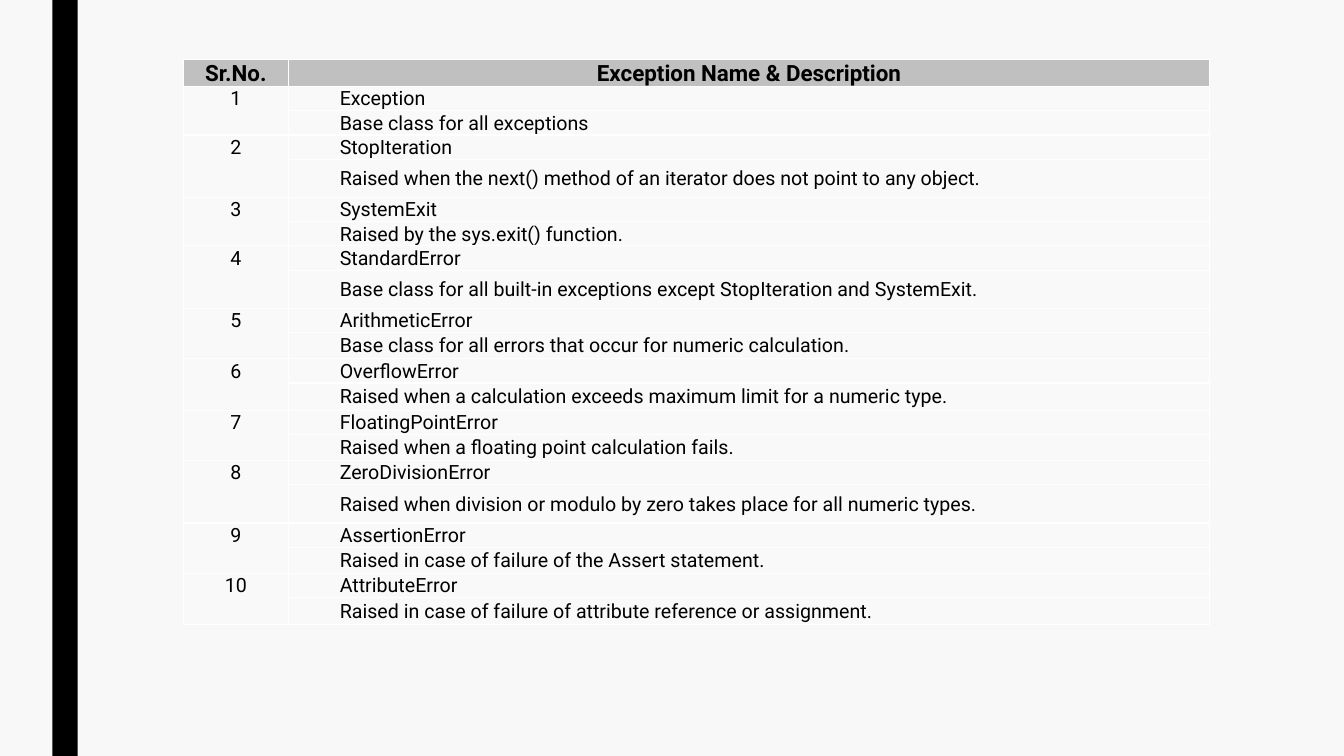
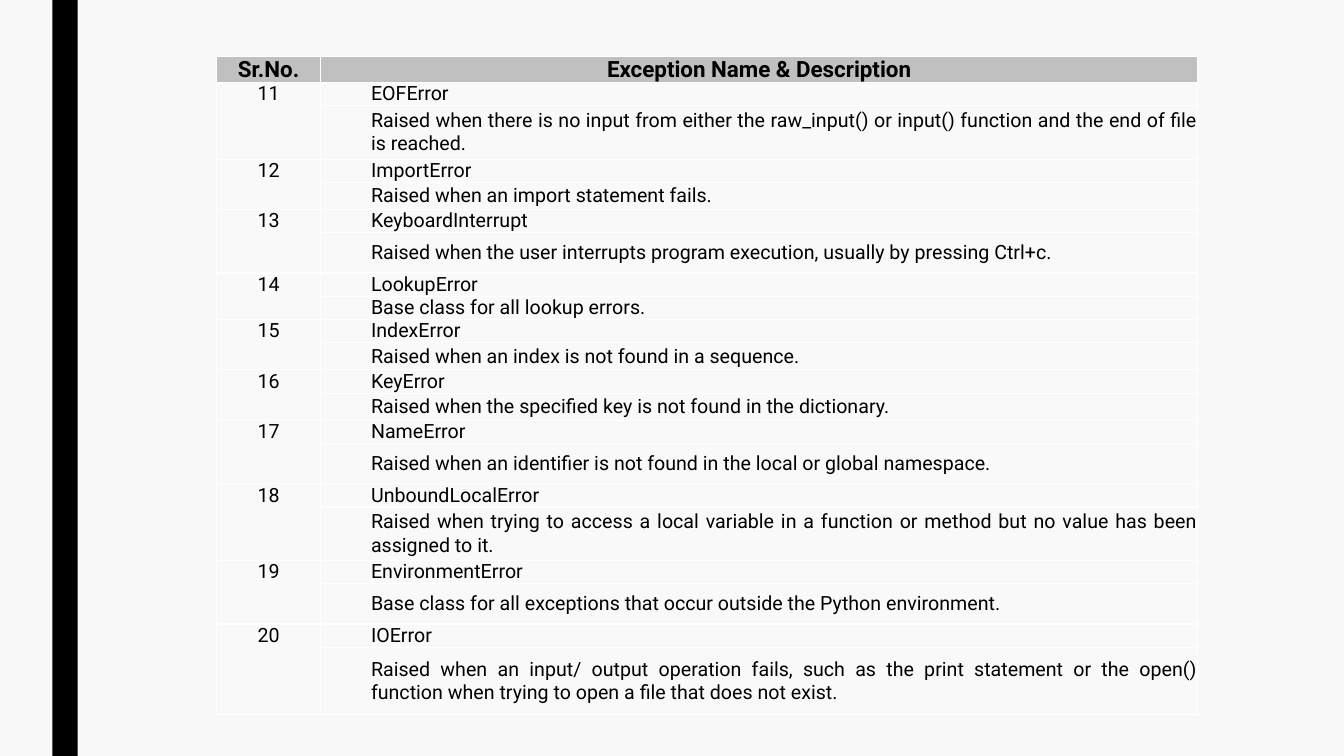
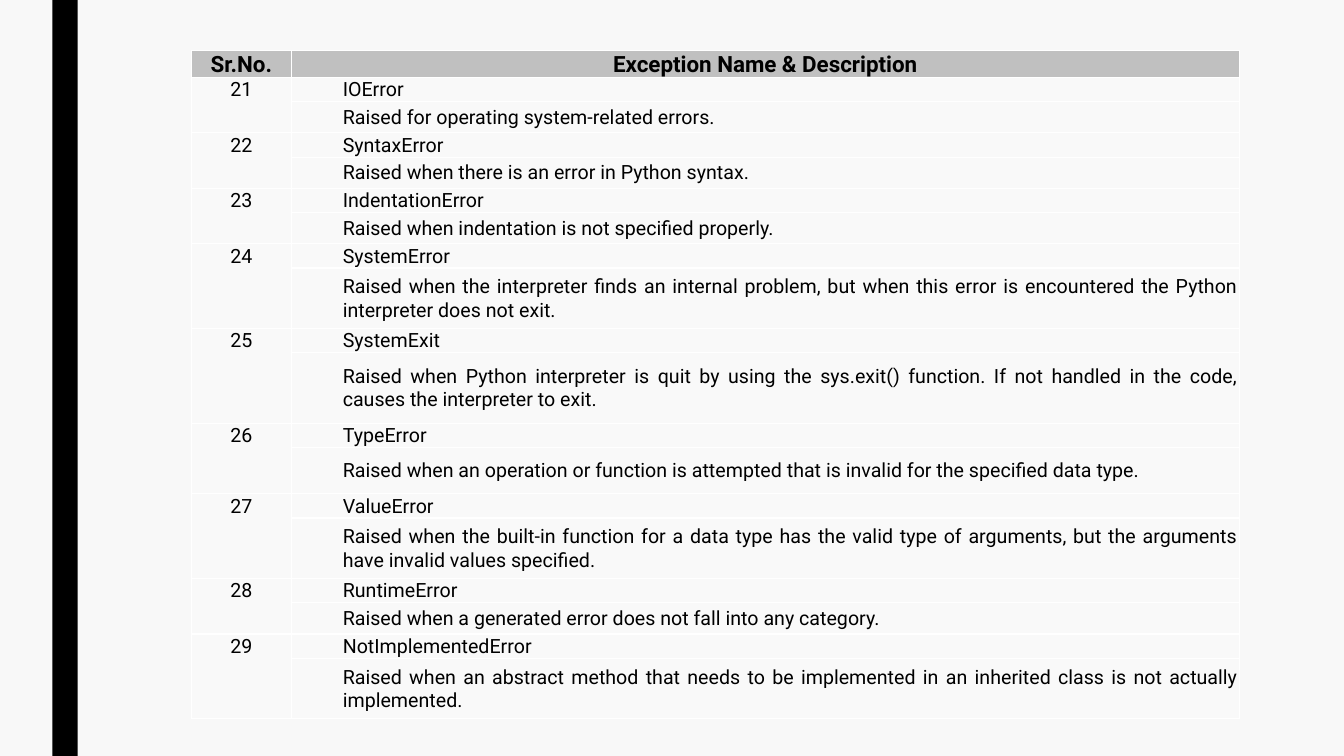
from dataclasses import dataclass

from lxml import etree
from pptx import Presentation
from pptx.dml.color import RGBColor
from pptx.enum.shapes import MSO_SHAPE
from pptx.enum.text import MSO_ANCHOR, PP_ALIGN
from pptx.oxml.ns import qn
from pptx.util import Inches, Pt

RECT = MSO_SHAPE.RECTANGLE
TOP, MIDDLE = MSO_ANCHOR.TOP, MSO_ANCHOR.MIDDLE
CENTER, JUSTIFY = PP_ALIGN.CENTER, PP_ALIGN.JUSTIFY


@dataclass(frozen=True)
class Theme:
    font: str = "Roboto"
    page: str = "F8F8F8"
    band: str = "000000"
    ink: str = "000000"
    head: str = "C0C0C0"
    body: str = "F9F9F9"
    rule: str = "FFFFFF"
    head_size: int = 16
    body_size: int = 14
    indent: float = 0.5


class Deck:
    def __init__(self, theme):
        self.theme = theme
        self.prs = Presentation()
        self.prs.slide_width = Inches(13.33)
        self.prs.slide_height = Inches(7.5)
        self.paint(self.prs.slide_master.background.fill, theme.page)
        self.slide = None

    def paint(self, fill, color):
        fill.solid()
        fill.fore_color.rgb = RGBColor.from_string(color)

    def page(self):
        self.slide = self.prs.slides.add_slide(self.prs.slide_layouts[6])
        band = self.slide.shapes.add_shape(
            RECT, Inches(0.52), 0, Inches(0.25), self.prs.slide_height)
        band.shadow.inherit = False
        self.paint(band.fill, self.theme.band)
        band.line.fill.background()

    def border(self, cell):
        props = cell._tc.get_or_add_tcPr()
        for side in ("a:lnL", "a:lnR", "a:lnT", "a:lnB"):
            line = etree.SubElement(props, qn(side), w=str(Pt(1)))
            fill = etree.SubElement(line, qn("a:solidFill"))
            etree.SubElement(fill, qn("a:srgbClr"), val=self.theme.rule)

    def style(self, cell, color, inset):
        self.border(cell)
        self.paint(cell.fill, color)
        cell.margin_left = cell.margin_right = cell.margin_top = Inches(inset)
        cell.margin_bottom = 0

    def label(self, cell, text, size, bold=False, align=CENTER, anchor=TOP):
        cell.vertical_anchor = anchor
        para = cell.text_frame.paragraphs[0]
        para.alignment = align
        if align == JUSTIFY:
            para.level = 1
            props = para._p.get_or_add_pPr()
            props.set("marL", str(Inches(self.theme.indent)))
            props.set("indent", "0")
        run = para.add_run()
        run.text = text
        run.font.name = self.theme.font
        run.font.size = Pt(size)
        run.font.bold = bold
        run.font.color.rgb = RGBColor.from_string(self.theme.ink)

    def table(self, box, widths, head, step, inset, first, items):
        theme = self.theme
        frame = self.slide.shapes.add_table(
            2 * len(items) + 1, 2, *map(Inches, box))
        grid = frame.table
        grid.first_row = grid.horz_banding = False
        for col, width in zip(grid.columns, widths):
            col.width = Inches(width)
        highs = [head]
        for _, _, high in items:
            highs += [step, high]
        for row, high in zip(grid.rows, highs):
            row.height = Inches(high)
        frame.height = Inches(box[3])
        for i, row in enumerate(grid.rows):
            for cell in row.cells:
                self.style(cell, theme.body if i else theme.head, inset)
        for col, title in enumerate(("Sr.No.", "Exception Name & Description")):
            self.label(grid.cell(0, col), title, theme.head_size, bold=True)
        for i, (name, about, _) in enumerate(items):
            top = 2 * i + 1
            count = grid.cell(top, 0)
            count.merge(grid.cell(top + 1, 0))
            self.label(count, str(first + i), theme.body_size)
            for row, text in enumerate((name, about), top):
                self.label(grid.cell(row, 1), text, theme.body_size,
                           align=JUSTIFY, anchor=MIDDLE)


BASIC = [
    ("Exception", "Base class for all exceptions", 0.17),
    ("StopIteration", "Raised when the next() method of an iterator does not "
     "point to any object.", 0.38),
    ("SystemExit", "Raised by the sys.exit() function.", 0.17),
    ("StandardError", "Base class for all built-in exceptions except "
     "StopIteration and SystemExit.", 0.38),
    ("ArithmeticError", "Base class for all errors that occur for numeric "
     "calculation.", 0.26),
    ("OverflowError", "Raised when a calculation exceeds maximum limit for a "
     "numeric type.", 0.27),
    ("FloatingPointError", "Raised when a floating point calculation fails.",
     0.26),
    ("ZeroDivisionError", "Raised when division or modulo by zero takes place "
     "for all numeric types.", 0.38),
    ("AssertionError", "Raised in case of failure of the Assert statement.",
     0.26),
    ("AttributeError", "Raised in case of failure of attribute reference or "
     "assignment.", 0.27),
]
LOOKUP = [
    ("EOFError", "Raised when there is no input from either the raw_input() or "
     "input() function and the end of file is reached.", 0.53),
    ("ImportError", "Raised when an import statement fails.", 0.27),
    ("KeyboardInterrupt", "Raised when the user interrupts program execution, "
     "usually by pressing Ctrl+c.", 0.4),
    ("LookupError", "Base class for all lookup errors.", 0.18),
    ("IndexError", "Raised when an index is not found in a sequence.", 0.27),
    ("KeyError", "Raised when the specified key is not found in the "
     "dictionary.", 0.27),
    ("NameError", "Raised when an identifier is not found in the local or "
     "global namespace.", 0.4),
    ("UnboundLocalError", "Raised when trying to access a local variable in a "
     "function or method but no value has been assigned to it.", 0.53),
    ("EnvironmentError", "Base class for all exceptions that occur outside the "
     "Python environment.", 0.4),
    ("IOError", "Raised when an input/ output operation fails, such as the "
     "print statement or the open() function when trying to open a file that "
     "does not exist.", 0.67),
]
SYSTEM = [
    ("IOError", "Raised for operating system-related errors.", 0.31),
    ("SyntaxError", "Raised when there is an error in Python syntax.", 0.31),
    ("IndentationError", "Raised when indentation is not specified properly.",
     0.31),
    ("SystemError", "Raised when the interpreter finds an internal problem, "
     "but when this error is encountered the Python interpreter does not "
     "exit.", 0.6),
    ("SystemExit", "Raised when Python interpreter is quit by using the "
     "sys.exit() function. If not handled in the code, causes the interpreter "
     "to exit.", 0.7),
    ("TypeError", "Raised when an operation or function is attempted that is "
     "invalid for the specified data type.", 0.46),
    ("ValueError", "Raised when the built-in function for a data type has the "
     "valid type of arguments, but the arguments have invalid values "
     "specified.", 0.6),
    ("RuntimeError", "Raised when a generated error does not fall into any "
     "category.", 0.31),
    ("NotImplementedError", "Raised when an abstract method that needs to be "
     "implemented in an inherited class is not actually implemented.", 0.6),
]

deck = Deck(Theme())

deck.page()
deck.table((1.82, 0.59, 10.18, 5.61), (1.04, 9.14), head=0.04, step=0.17,
           inset=0.01, first=1, items=BASIC)

deck.page()
deck.table((2.15, 0.56, 9.72, 6.65), (1.03, 8.7), head=0.18, step=0.18,
           inset=0, first=11, items=LOOKUP)

deck.page()
deck.table((1.9, 0.5, 10.39, 6.61), (0.99, 9.4), head=0.26, step=0.19,
           inset=0.01, first=21, items=SYSTEM)

deck.prs.save("out.pptx")
